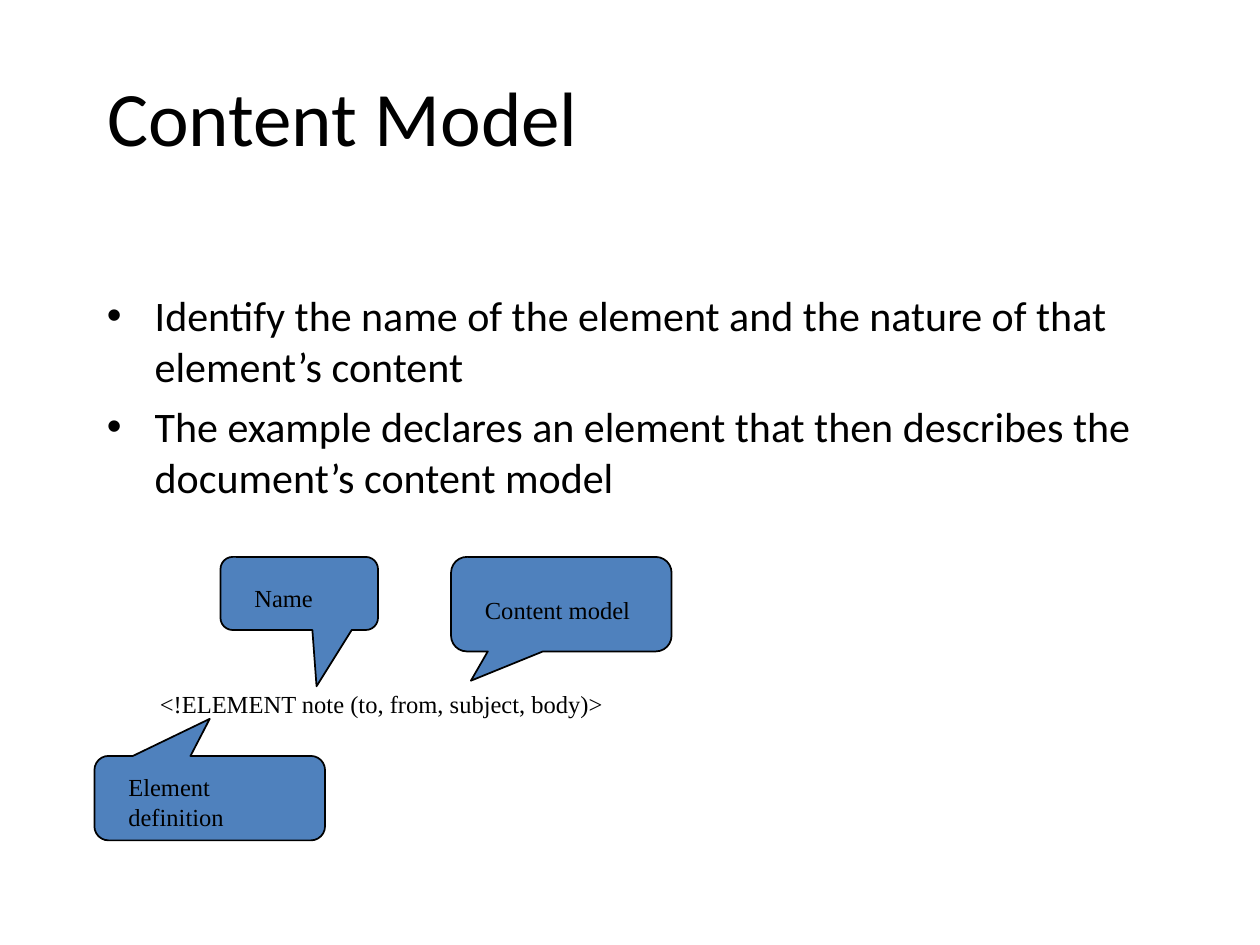
from lxml import etree
from pptx import Presentation
from pptx.dml.color import RGBColor
from pptx.enum.shapes import MSO_SHAPE
from pptx.enum.text import MSO_ANCHOR, PP_ALIGN
from pptx.oxml.ns import qn
from pptx.util import Inches, Pt

CALLOUT = MSO_SHAPE.ROUNDED_RECTANGULAR_CALLOUT
MIDDLE, TOP = MSO_ANCHOR.MIDDLE, MSO_ANCHOR.TOP
LEFT = PP_ALIGN.LEFT
BLACK, BLUE = "000000", "4F81BD"
HEADING_FONT, LABEL_FONT = "Calibri", "Times New Roman"

BULLETS = [
    "Identify the name of the element and the nature of that element’s content",
    "The example declares an element that then describes the document’s content model",
]
CALLOUTS = [
    ("Name", (1.75, 4.42, 1.25, 0.58), (0.11, 1.27), (1.92, 4.58, 0.92, 0.34)),
    ("Content model", (3.58, 4.42, 1.75, 0.75), (-0.41, 0.81), (3.75, 4.67, 1.42, 0.34)),
    ("Element definition", (0.75, 6, 1.83, 0.67), (0, -0.94), (0.92, 6.08, 1.58, 0.57)),
]


def color(hex_text):
    """Turn a hex string into a colour."""
    return RGBColor.from_string(hex_text)


def inches(box):
    """Turn a left, top, width, height tuple into lengths."""
    return [Inches(value) for value in box]


def format_para(para, font_name, size):
    """Left-align a paragraph and set the font of its runs."""
    para.alignment = LEFT
    for span in para.runs:
        span.font.name = font_name
        span.font.size = Pt(size)
        span.font.color.rgb = color(BLACK)


def add_title(page, box, text):
    """Place and format the title placeholder."""
    title = page.shapes.title
    title.left, title.top, title.width, title.height = inches(box)
    frame = title.text_frame
    frame.text = text
    frame.vertical_anchor = MIDDLE
    format_para(frame.paragraphs[0], HEADING_FONT, 44)


def add_text(page, box, lines, font_name, size):
    """Add a wrapping text box and return its paragraphs."""
    frame = page.shapes.add_textbox(*inches(box)).text_frame
    frame.word_wrap = True
    frame.vertical_anchor = TOP
    frame.text = "\n".join(lines)
    for para in frame.paragraphs:
        format_para(para, font_name, size)
    return frame.paragraphs


def add_bullets(page, box, lines):
    """Add the bulleted statements with hanging indents."""
    for index, para in enumerate(add_text(page, box, lines, HEADING_FONT, 24)):
        properties = para._p.get_or_add_pPr()
        properties.set("marL", str(Inches(0.38)))
        properties.set("indent", str(-Inches(0.38)))
        etree.SubElement(properties, qn("a:buFont"), typeface="Arial")
        etree.SubElement(properties, qn("a:buChar"), char="•")
        para.space_before = Pt(6 if index else 0)


def add_callout(page, box, pointer, label_box, label):
    """Add a callout whose pointer is relative to its centre, and its label."""
    shape = page.shapes.add_shape(CALLOUT, *inches(box))
    shape.shadow.inherit = False
    shape.adjustments[0], shape.adjustments[1] = pointer
    shape.fill.solid()
    shape.fill.fore_color.rgb = color(BLUE)
    shape.line.color.rgb = color(BLACK)
    shape.line.width = Pt(1)
    add_text(page, label_box, [label], LABEL_FONT, 14)


def add_declaration(page, box):
    """Add the element declaration with the callouts that explain it."""
    add_text(page, box, ["<!ELEMENT note (to, from, subject, body)>"], LABEL_FONT, 14)
    for label, callout_box, pointer, label_box in CALLOUTS:
        add_callout(page, callout_box, pointer, label_box, label)


def main():
    """Build and save the slide."""
    deck = Presentation()
    deck.slide_width, deck.slide_height = Inches(10), Inches(7.5)
    page = deck.slides.add_slide(deck.slide_layouts[5])
    add_title(page, (0.75, 0.5, 8.5, 0.83), "Content Model")
    add_bullets(page, (0.75, 2.25, 8.5, 2), BULLETS)
    add_declaration(page, (1.17, 5.42, 7.75, 0.34))
    deck.save("out.pptx")


if __name__ == "__main__":
    main()
